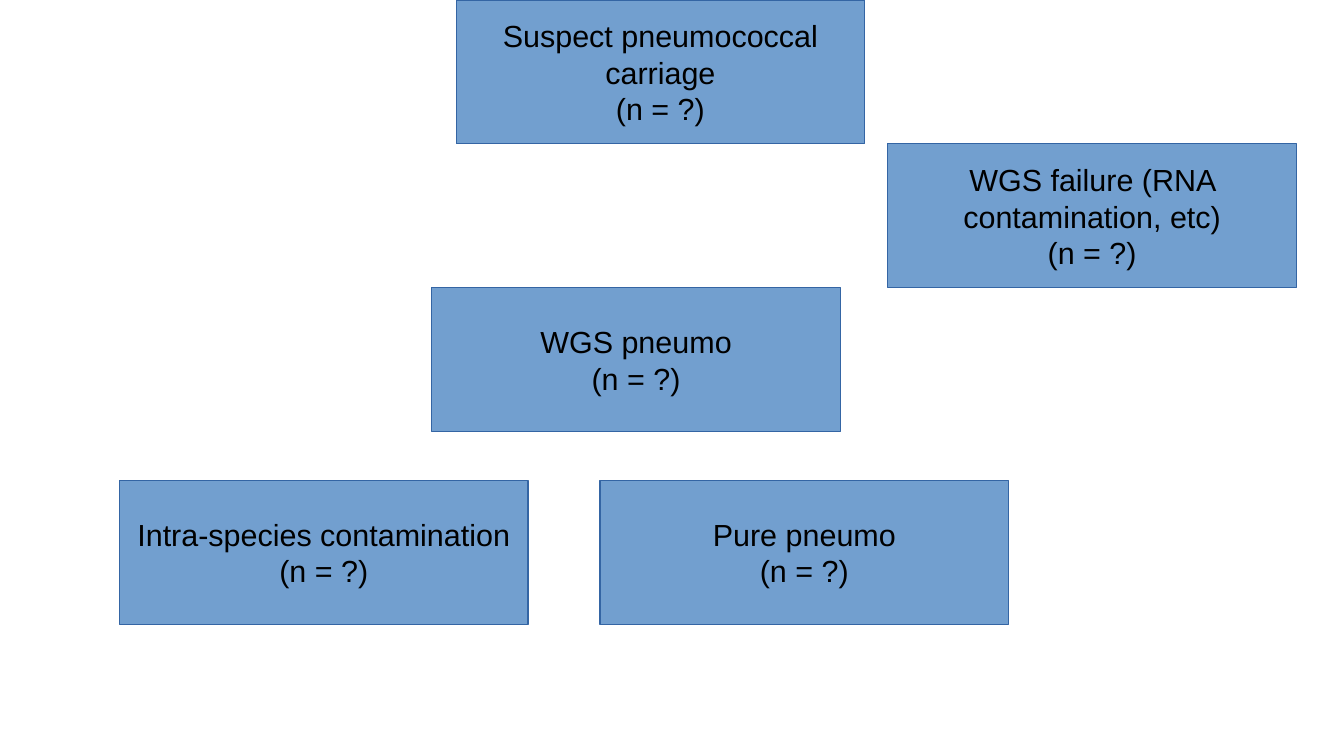
from pptx import Presentation
from pptx.dml.color import RGBColor
from pptx.enum.shapes import MSO_SHAPE
from pptx.enum.text import MSO_ANCHOR, PP_ALIGN
from pptx.util import Inches, Pt

BOX_BLUE = RGBColor(0x72, 0x9F, 0xCF)
BORDER_BLUE = RGBColor(0x34, 0x65, 0xA4)
BLACK = RGBColor(0x00, 0x00, 0x00)

BOX_WIDTH = 3.35
BOX_HEIGHT = 1.18
BOTTOM_ROW = 3.94

STAGES = [
    ("Suspect pneumococcal carriage", 3.74, 0),
    ("WGS failure (RNA contamination, etc)", 7.28, BOX_HEIGHT),
    ("WGS pneumo", 3.54, 2 * BOX_HEIGHT),
    ("Intra-species contamination", 0.98, BOTTOM_ROW),
    ("Pure pneumo", 4.92, BOTTOM_ROW),
]


class FlowSlide:
    font_name = "Arial"
    font_size = Pt(18)

    def __init__(self, presentation):
        blank_layout = presentation.slide_layouts[6]
        self.slide = presentation.slides.add_slide(blank_layout)

    def add_box(self, lines, left, top):
        shape = self.slide.shapes.add_shape(
            MSO_SHAPE.RECTANGLE,
            Inches(left), Inches(top), Inches(BOX_WIDTH), Inches(BOX_HEIGHT),
        )
        shape.shadow.inherit = False
        shape.fill.solid()
        shape.fill.fore_color.rgb = BOX_BLUE
        shape.line.color.rgb = BORDER_BLUE
        shape.line.width = Pt(0)

        text_frame = shape.text_frame
        text_frame.word_wrap = True
        text_frame.vertical_anchor = MSO_ANCHOR.MIDDLE
        for index, line in enumerate(lines):
            paragraph = text_frame.add_paragraph() if index else text_frame.paragraphs[0]
            self.add_line(paragraph, line)

    def add_line(self, paragraph, text):
        paragraph.alignment = PP_ALIGN.CENTER
        run = paragraph.add_run()
        run.text = text
        run.font.name = self.font_name
        run.font.size = self.font_size
        run.font.color.rgb = BLACK


def main():
    presentation = Presentation()
    presentation.slide_width = Inches(11.02)
    presentation.slide_height = Inches(6.2)
    flow = FlowSlide(presentation)
    for label, left, top in STAGES:
        flow.add_box([label, "(n = ?)"], left, top)
    presentation.save("out.pptx")


if __name__ == "__main__":
    main()
